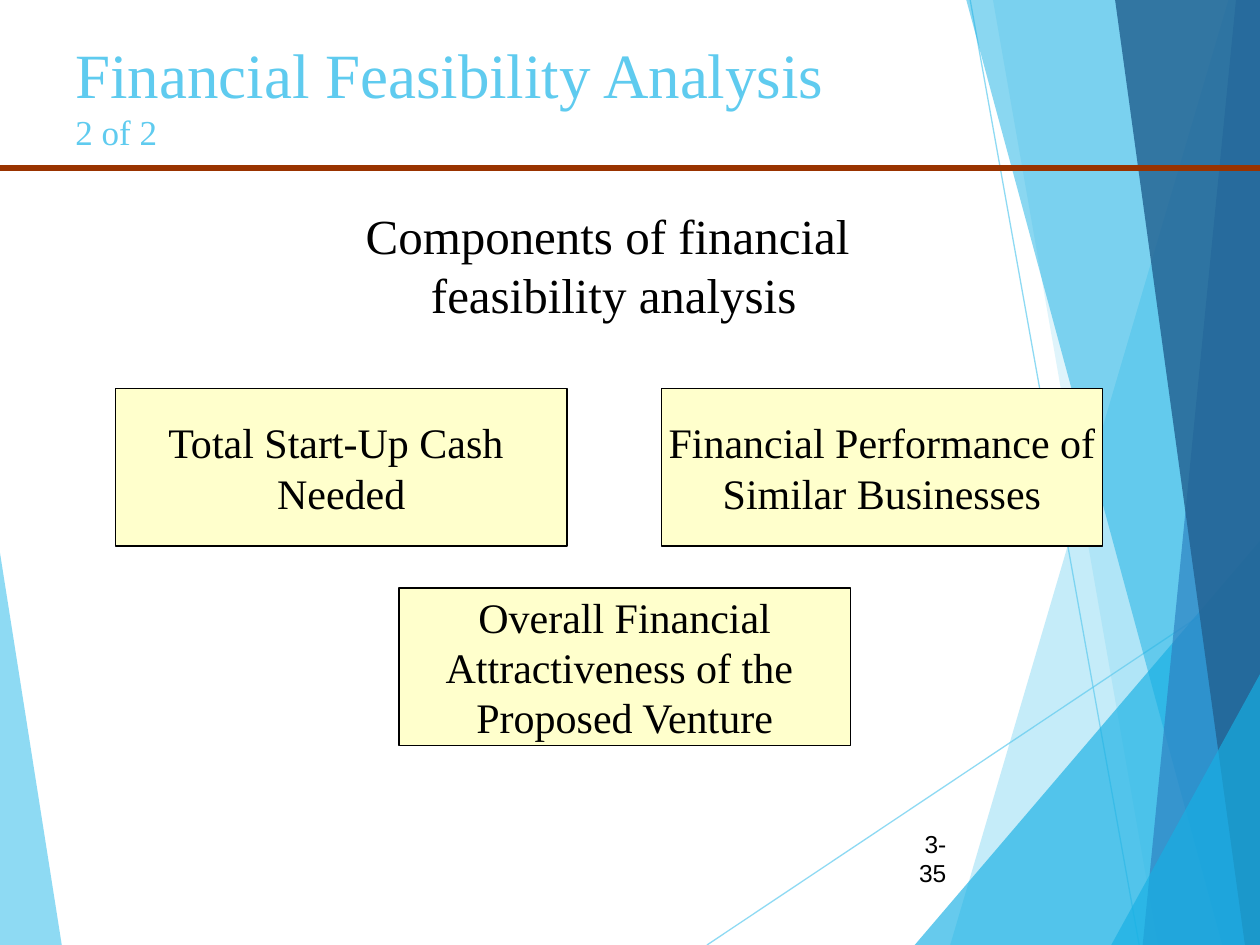
from dataclasses import dataclass

from pptx import Presentation
from pptx.dml.color import RGBColor
from pptx.enum.shapes import MSO_CONNECTOR, MSO_SHAPE
from pptx.enum.text import MSO_ANCHOR, PP_ALIGN
from pptx.oxml.ns import qn
from pptx.oxml.xmlchemy import OxmlElement
from pptx.util import Pt

WIDTH, HEIGHT = 720, 540


@dataclass(frozen=True)
class Theme:
    sky: str = "5FCBEF"
    cyan: str = "17B0E4"
    blue: str = "2E83C3"
    navy: str = "236292"
    rule: str = "993300"
    card: str = "FFFFCC"
    ink: str = "000000"
    serif: str = "Times New Roman"
    sans: str = "Arial"
    title: int = 36
    subtitle: int = 20
    heading: int = 28
    body: int = 24
    number: int = 14


class SlideBuilder:
    """Draws styled elements on one page, with all lengths in points."""

    def __init__(self, page, theme):
        self.page = page
        self.theme = theme

    def set_alpha(self, shape, percent):
        for color in shape.element.spPr.iter(qn("a:srgbClr")):
            alpha = OxmlElement("a:alpha")
            alpha.set("val", str(percent * 1000))
            color.append(alpha)

    def facet(self, points, color, percent):
        corners = [(Pt(x), Pt(y)) for x, y in points]
        builder = self.page.shapes.build_freeform(*corners[0])
        builder.add_line_segments(corners[1:], close=True)
        shape = builder.convert_to_shape()
        shape.shadow.inherit = False
        shape.fill.solid()
        shape.fill.fore_color.rgb = RGBColor.from_string(color)
        shape.line.fill.background()
        self.set_alpha(shape, percent)

    def band(self, top_x, bottom_x, color, percent):
        points = [(top_x, 0), (bottom_x, HEIGHT), (WIDTH, HEIGHT), (WIDTH, 0)]
        self.facet(points, color, percent)

    def wedge(self, bottom_x, edge_y, color, percent):
        points = [(bottom_x, HEIGHT), (WIDTH, edge_y), (WIDTH, HEIGHT)]
        self.facet(points, color, percent)

    def line(self, start, end, color, weight, percent=100):
        ends = [Pt(value) for value in (*start, *end)]
        line = self.page.shapes.add_connector(MSO_CONNECTOR.STRAIGHT, *ends)
        line.line.color.rgb = RGBColor.from_string(color)
        line.line.width = Pt(weight)
        line.element.spPr.append(OxmlElement("a:effectLst"))
        if percent < 100:
            self.set_alpha(line, percent)

    def fill_text(self, shape, text, sizes, font, color, align, anchor, wrap=True):
        frame = shape.text_frame
        frame.text = text
        frame.word_wrap = wrap
        frame.vertical_anchor = anchor
        for paragraph in frame.paragraphs:
            paragraph.alignment = align
            for index, span in enumerate(paragraph.runs):
                span.font.name = font
                span.font.size = Pt(sizes[min(index, len(sizes) - 1)])
                span.font.color.rgb = RGBColor.from_string(color)

    def text(self, place, text, sizes, font, color, align,
             anchor=MSO_ANCHOR.TOP, inset=3.6):
        box = self.page.shapes.add_textbox(*map(Pt, place))
        self.fill_text(box, text, sizes, font, color, align, anchor)
        box.text_frame.margin_top = Pt(inset)

    def card(self, left, top, width, text):
        place = map(Pt, (left, top, width, 90))
        box = self.page.shapes.add_shape(MSO_SHAPE.RECTANGLE, *place)
        box.shadow.inherit = False
        box.fill.solid()
        box.fill.fore_color.rgb = RGBColor.from_string(self.theme.card)
        box.line.color.rgb = RGBColor.from_string(self.theme.ink)
        box.line.width = Pt(0.75)
        self.fill_text(box, text, [self.theme.body], self.theme.serif,
                       self.theme.ink, PP_ALIGN.CENTER, MSO_ANCHOR.MIDDLE,
                       wrap=False)


def draw_backdrop(slide, theme):
    slide.facet([(0, 316), (35.3, HEIGHT), (0, HEIGHT)], theme.sky, 70)
    slide.line((404, HEIGHT), (WIDTH, 329), theme.sky, 0.75, 70)
    slide.line((554.4, 0), (651, HEIGHT), theme.sky, 0.75, 70)
    slide.band(702, 543, theme.sky, 36)
    slide.band(567.4, 661.7, theme.sky, 20)
    slide.wedge(522.7, 309, theme.cyan, 66)
    slide.band(552.2, 698.4, theme.cyan, 50)
    slide.band(706.3, 653, theme.blue, 70)
    slide.band(637.2, 711.4, theme.navy, 82)
    slide.wedge(635, 385.2, theme.cyan, 66)


def draw_content(slide, theme):
    slide.text((36, 12.2, 648, 90), "Financial Feasibility Analysis\v2 of 2",
               [theme.title, theme.subtitle], theme.serif, theme.sky,
               PP_ALIGN.LEFT, inset=8)
    slide.text((507.6, 476, 40.3, 28.8), "3-35", [theme.number], theme.sans,
               theme.ink, PP_ALIGN.RIGHT, MSO_ANCHOR.MIDDLE)
    slide.line((0, 96), (WIDTH, 96), theme.rule, 3)
    slide.text((77.8, 113.8, 545.8, 74.9),
               "Components of financial \nfeasibility analysis",
               [theme.heading], theme.serif, theme.ink, PP_ALIGN.CENTER)
    slide.card(66, 222, 258, "Total Start-Up Cash \nNeeded")
    slide.card(378, 222, 252, "Financial Performance of\nSimilar Businesses")
    slide.card(228, 336, 258,
               "Overall Financial\nAttractiveness of the \nProposed Venture")


def main():
    deck = Presentation()
    deck.slide_width, deck.slide_height = Pt(WIDTH), Pt(HEIGHT)
    theme = Theme()
    slide = SlideBuilder(deck.slides.add_slide(deck.slide_layouts[6]), theme)
    draw_backdrop(slide, theme)
    draw_content(slide, theme)
    deck.save("out.pptx")


if __name__ == "__main__":
    main()
